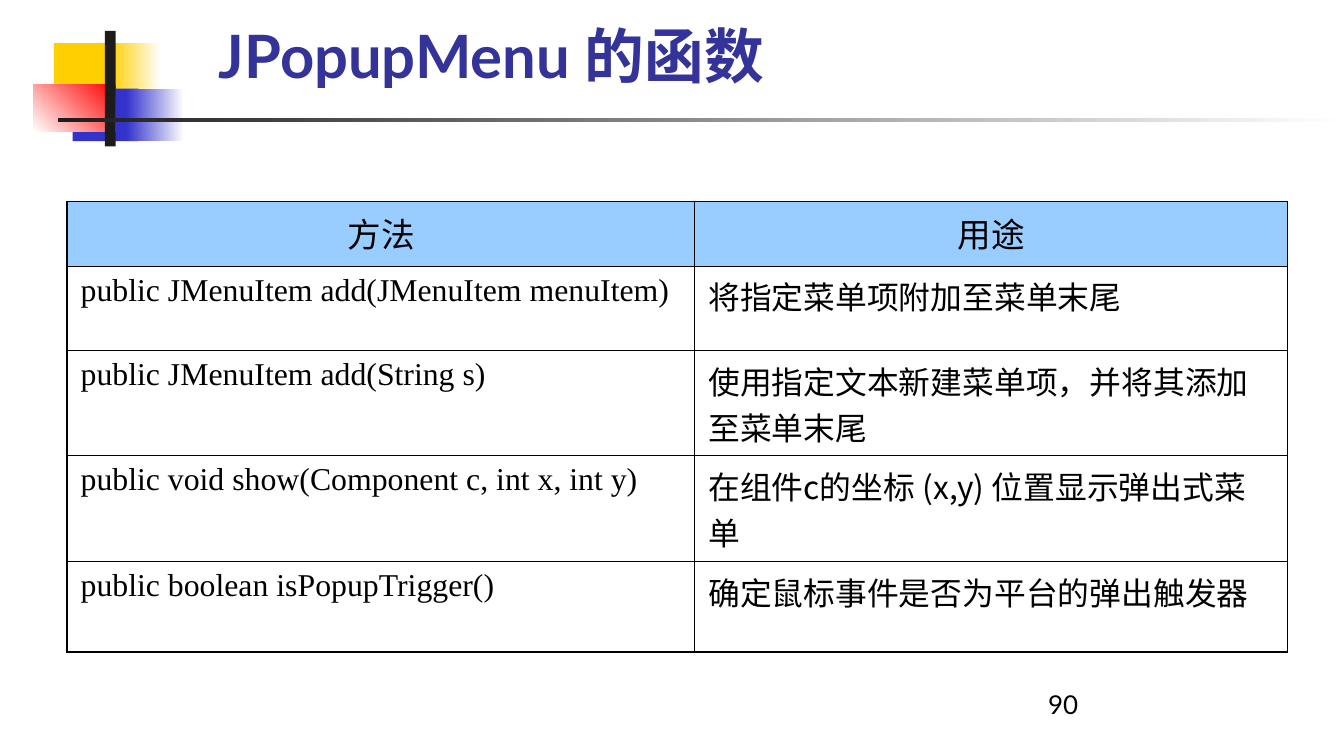
from lxml.etree import SubElement
from pptx import Presentation
from pptx.dml.color import RGBColor
from pptx.enum.shapes import MSO_SHAPE as Shape
from pptx.enum.text import MSO_ANCHOR as Anchor, PP_ALIGN as Align
from pptx.oxml import parse_xml
from pptx.oxml.ns import nsdecls, qn
from pptx.util import Inches, Pt


def color(code):
    return RGBColor.from_string(code)


def write(frame, text, font, size, code, bold=False):
    para = frame.paragraphs[0]
    span = para.add_run()
    span.text = text
    para.font.size = span.font.size = Pt(size)
    para.font.bold = span.font.bold = bold
    span.font.name = font
    span.font.color.rgb = color(code)
    SubElement(span.font._element, qn("a:ea")).set("typeface", "Noto Sans CJK SC")
    return para


deck = Presentation()
deck.slide_width = Inches(10)
deck.slide_height = deck.slide_width * 9 // 16
unit = deck.slide_width // 1000
page = deck.slides.add_slide(deck.slide_layouts[6])

ornaments = [
    ((40, 32, 51, 39), ["FFCF01"], 0),
    ((82, 32, 38, 39), ["FFFFFF", "FFCF01"], 180),
    ((54, 66, 49, 39), ["3333CC"], 0),
    ((94, 66, 43, 39), ["FFFFFF", "3333CC"], 180),
    ((25, 63, 61, 35), ["FF0000", "FFFFFF"], 225),
    ((78, 23, 8, 86), ["1C1C1C"], 0),
    ((43, 88, 957, 3), ["FFFFFF", "1C1C1C"], 180),
]
for place, codes, angle in ornaments:
    block = page.shapes.add_shape(Shape.RECTANGLE, *[n * unit for n in place])
    block.shadow.inherit = False
    block.line.fill.background()
    if len(codes) == 1:
        block.fill.solid()
        block.fill.fore_color.rgb = color(codes[0])
    else:
        block.fill.gradient()
        block.fill.gradient_angle = angle
        for stop, code in zip(block.fill.gradient_stops, codes):
            stop.color.rgb = color(code)

title = page.shapes.add_textbox(153 * unit, 25 * unit, 718 * unit, 48 * unit).text_frame
title.word_wrap = True
title.vertical_anchor = Anchor.BOTTOM
title.margin_top = 0
title.margin_bottom = 6 * unit
write(title, "JPopupMenu 的函数", "Lato", 32, "333399", True)

number = page.shapes.add_textbox(770 * unit, 512 * unit, 208 * unit, 37 * unit).text_frame
number.word_wrap = True
write(number, "90", "Lato", 13.9, "000000").line_spacing = 0.8

methods = [
    ("方法", "用途"),
    ("public JMenuItem add(JMenuItem menuItem)", "将指定菜单项附加至菜单末尾"),
    ("public JMenuItem add(String s)", "使用指定文本新建菜单项，并将其添加至菜单末尾"),
    ("public void show(Component c, int x, int y)", "在组件c的坐标 (x,y) 位置显示弹出式菜单"),
    ("public boolean isPopupTrigger()", "确定鼠标事件是否为平台的弹出触发器"),
]
widths = [467, 441]
heights = [48, 63, 78, 79, 67]
table = page.shapes.add_table(
    len(heights), len(widths), 50 * unit, 150 * unit, sum(widths) * unit, sum(heights) * unit
).table
table.first_row = table.horz_banding = False
for column, width in zip(table.columns, widths):
    column.width = width * unit
for row, height in zip(table.rows, heights):
    row.height = height * unit

for r, texts in enumerate(methods):
    for c, text in enumerate(texts):
        cell = table.cell(r, c)
        if r == 0:
            cell.fill.solid()
            cell.fill.fore_color.rgb = color("99CCFF")
            write(cell.text_frame, text, "Lato", 18, "000000").alignment = Align.CENTER
        else:
            cell.fill.background()
            font = ["Times New Roman", "Noto Sans CJK SC"][c]
            write(cell.text_frame, text, font, 17, "000000")
        outer = {"L": c == 0, "R": c == 1, "T": r == 0, "B": r == len(methods) - 1}
        for position, (side, edge) in enumerate(outer.items()):
            border = parse_xml(
                f'<a:ln{side} {nsdecls("a")} w="{Pt(1.08 if edge else 0.45)}">'
                '<a:solidFill><a:srgbClr val="000000"/></a:solidFill>'
                f"</a:ln{side}>"
            )
            cell._tc.get_or_add_tcPr().insert(position, border)

deck.save("out.pptx")
